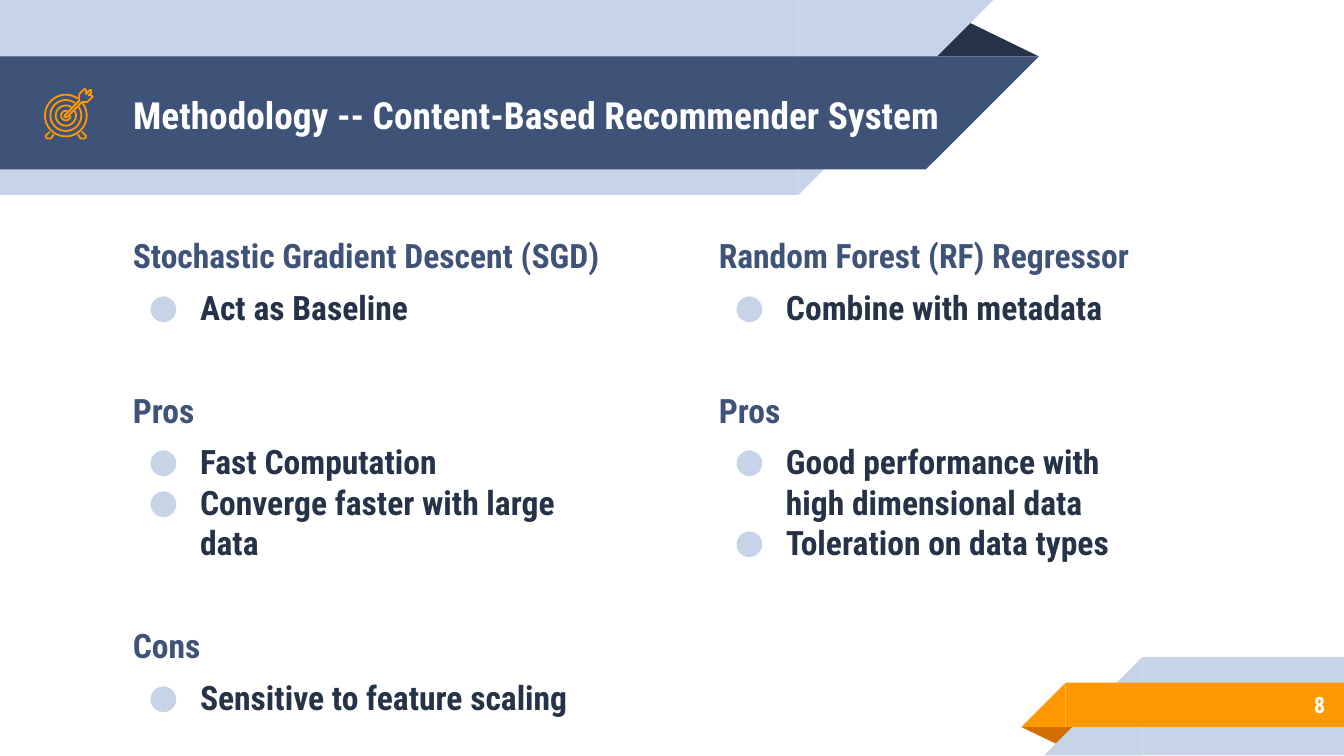
import math
from pptx import Presentation
from pptx import util as u
from pptx.dml import color
from pptx.enum import shapes, text
from pptx.oxml import ns
from lxml import etree

HUES = {"pale": "C7D3E6", "navy": "3F5378", "dark": "263248",
        "gold": "FF9800", "rust": "D26F00", "white": "FFFFFF"}
FONT = "Roboto Condensed"
KIND = shapes.MSO_SHAPE
LINE, GAP = 21.6, 6


def hue(name):
    return color.RGBColor.from_string(HUES[name])


def block(slide, kind, box, tint, turn=0, flip=False):
    shape = slide.shapes.add_shape(kind, *map(u.Inches, box))
    shape.shadow.inherit = False
    shape.fill.solid()
    shape.fill.fore_color.rgb = hue(tint)
    shape.line.fill.background()
    shape.rotation = turn
    if flip:
        shape._element.spPr.find(ns.qn("a:xfrm")).set("flipH", "1")
    return shape


def fold(slide, box, tint, turn=0):
    block(slide, KIND.ISOSCELES_TRIANGLE, box, tint, turn).adjustments[0] = 0.324


def left_band(slide, x, y, w, h, tint):
    block(slide, KIND.RECTANGLE, (x, y, w - h, h), tint, 180, True)
    block(slide, KIND.RIGHT_TRIANGLE, (x + w - h, y, h, h), tint, 180, True)


def right_band(slide, x, y, w, h, tint):
    block(slide, KIND.RECTANGLE, (x + h, y, w - h, h), tint, 0, True)
    block(slide, KIND.RIGHT_TRIANGLE, (x, y, h, h), tint, 0, True)


def frame(shape, anchor):
    body = shape.text_frame
    body.word_wrap = True
    body.auto_size = text.MSO_AUTO_SIZE.NONE
    body.vertical_anchor = anchor
    body.margin_left = body.margin_right = u.Inches(0.1)
    body.margin_top = body.margin_bottom = u.Inches(0.1)
    return body


def write(para, words, size, tint, align=text.PP_ALIGN.LEFT):
    para.alignment = align
    run = para.add_run()
    run.text = words
    run.font.name, run.font.size, run.font.bold = FONT, u.Pt(size), True
    run.font.color.rgb = hue(tint)


def bullet(para):
    props = para._p.get_or_add_pPr()
    props.set("marL", str(u.Inches(0.5)))
    props.set("indent", str(u.Inches(-0.38)))
    shade = etree.SubElement(props, ns.qn("a:buClr"))
    etree.SubElement(shade, ns.qn("a:srgbClr")).set("val", HUES["pale"])
    etree.SubElement(props, ns.qn("a:buFont")).set("typeface", FONT)
    etree.SubElement(props, ns.qn("a:buChar")).set("char", "●")


def header(slide, x, y, words):
    fold(slide, (x + 6.88, y + 0.14, 0.85, 0.28), "dark")
    left_band(slide, x, y, 7.39, 1.45, "pale")
    left_band(slide, x, y + 0.42, 7.73, 0.84, "navy")
    title = slide.shapes.title
    title.left, title.top = u.Inches(x + 0.89), u.Inches(y + 0.43)
    title.width, title.height = u.Inches(6.44), u.Inches(0.84)
    write(frame(title, text.MSO_ANCHOR.MIDDLE).paragraphs[0], words, 20, "white")
    title._element.getparent().append(title._element)


def footer(slide, x, y, number):
    fold(slide, (x, y + 0.52, 0.43, 0.14), "rust", 180)
    right_band(slide, x + 0.17, y, 2.23, 0.73, "pale")
    right_band(slide, x, y + 0.19, 2.4, 0.33, "gold")
    box = slide.shapes.add_textbox(*map(u.Inches, (x + 0.73, y + 0.18, 1.63, 0.35)))
    write(frame(box, text.MSO_ANCHOR.MIDDLE).paragraphs[0], number, 12,
          "white", text.PP_ALIGN.RIGHT)


def stroke(slide, x, y, spots, close=False):
    spots = [(u.Inches(x + a), u.Inches(y + b)) for a, b in spots]
    pen = slide.shapes.build_freeform(*spots[0])
    pen.add_line_segments(spots[1:], close=close)
    shape = pen.convert_to_shape()
    shape.shadow.inherit = False
    shape.fill.background()
    shape.line.color.rgb = hue("gold")
    shape.line.width = u.Pt(0.96)


def target(slide, x, y):
    mid, deep = 0.16, 0.2
    rings = [(0.155, -54, -396), (0.115, -36, 306), (0.075, -58, -387), (0.035, 0, 286)]
    for size, start, end in rings:
        turns = [math.radians(start + (end - start) * i / 60) for i in range(61)]
        stroke(slide, x, y, [(mid + size * math.cos(t), deep + size * math.sin(t))
                             for t in turns])
    foot = [(0.04, 0.32), (0.02, 0.34), (0.01, 0.35), (0.01, 0.36), (0.02, 0.37),
            (0.03, 0.37), (0.04, 0.37), (0.05, 0.37), (0.07, 0.34)]
    stroke(slide, x, y, foot)
    stroke(slide, x, y, [(2 * mid - a, b) for a, b in foot])
    dart = [(0.35, 0.05), (0.33, 0.05), (0.35, 0.03), (0.35, 0.01), (0.34, 0.01),
            (0.31, 0.04), (0.31, 0.01), (0.3, 0), (0.26, 0.04), (0.26, 0.09),
            (0.15, 0.2), (0.15, 0.21), (0.17, 0.21), (0.28, 0.1), (0.32, 0.1),
            (0.36, 0.06)]
    stroke(slide, x, y, dart, True)


def column(slide, box, parts):
    shape = slide.shapes.add_textbox(*map(u.Inches, box))
    body = frame(shape, text.MSO_ANCHOR.TOP)
    for i, (head, items) in enumerate(parts):
        para = body.add_paragraph() if i else body.paragraphs[0]
        para.space_before = u.Pt(LINE + 2 * GAP if i else GAP)
        write(para, head, 18, "navy")
        for j, item in enumerate(items):
            para = body.add_paragraph()
            para.space_before = u.Pt(0 if j else GAP)
            write(para, item, 18, "dark")
            bullet(para)


def main():
    deck = Presentation()
    deck.slide_width, deck.slide_height = u.Inches(10), u.Inches(10 * 9 / 16)
    slide = deck.slides.add_slide(deck.slide_layouts[5])
    header(slide, 0, 0, "Methodology -- Content-Based Recommender System")
    footer(slide, 7.6, 4.89, "8")
    target(slide, 0.33, 0.66)
    column(slide, (0.89, 1.65, 3.8, 3.51), [
        ("Stochastic Gradient Descent (SGD)", ["Act as Baseline"]),
        ("Pros", ["Fast Computation", "Converge faster with large data"]),
        ("Cons", ["Sensitive to feature scaling"])])
    column(slide, (5.25, 1.65, 3.27, 2.8), [
        ("Random Forest (RF) Regressor", ["Combine with metadata"]),
        ("Pros", ["Good performance with high dimensional data",
                  "Toleration on data types"])])
    deck.save("out.pptx")


if __name__ == "__main__":
    main()
